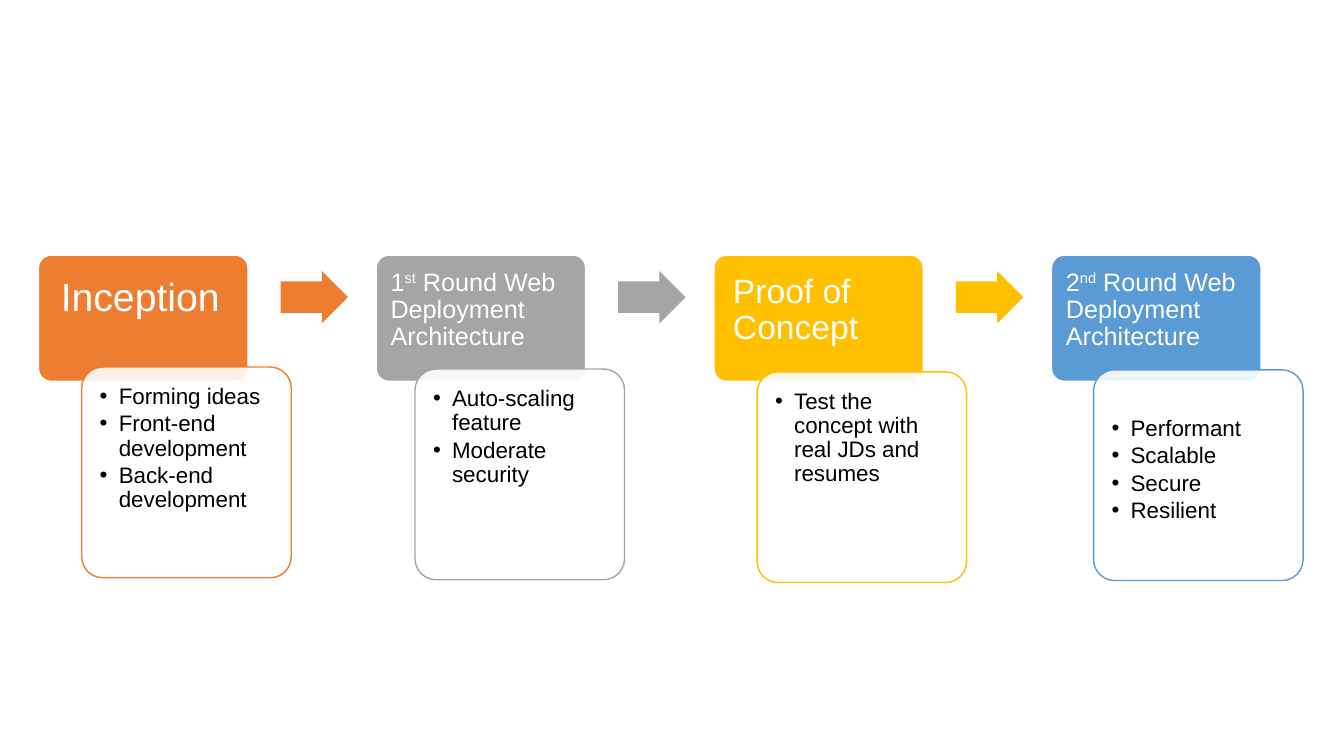
"""Build a slide showing four project phases joined by arrows."""
from lxml import etree
from pptx import Presentation
from pptx.dml.color import RGBColor
from pptx.enum.shapes import MSO_SHAPE
from pptx.enum.text import MSO_ANCHOR, PP_ALIGN
from pptx.oxml.ns import qn
from pptx.util import Cm, Pt

ROUNDED = MSO_SHAPE.ROUNDED_RECTANGLE
RIGHT_ARROW = MSO_SHAPE.RIGHT_ARROW
TOP = MSO_ANCHOR.TOP
LEFT = PP_ALIGN.LEFT

COLOURS = {
    "white": "FFFFFF",
    "black": "000000",
    "orange": "ED7D31",
    "grey": "A5A5A5",
    "gold": "FFC000",
    "blue": "5B9BD5",
}

FIRST_LEFT, PHASE_PITCH = 0.97, 8.51
CARD_WIDTH = 5.28
BULLET_INDENT = 0.48

PHASES = [
    {"colour": "orange", "title": ["Inception"], "size": 28,
     "details_at": (2.06, 9.25), "inset_top": 0.3,
     "details": ["Forming ideas", "Front-end development", "Back-end development"]},
    {"colour": "grey", "title": ["1", "st", " Round Web Deployment Architecture"], "size": 18,
     "details_at": (10.46, 9.3), "inset_top": 0.3,
     "details": ["Auto-scaling feature", "Moderate security"]},
    {"colour": "gold", "title": ["Proof of Concept"], "size": 24,
     "details_at": (19.08, 9.37), "inset_top": 0.3,
     "details": ["Test the concept with real JDs and resumes"]},
    {"colour": "blue", "title": ["2", "nd", " Round Web Deployment Architecture"], "size": 18,
     "details_at": (27.56, 9.32), "inset_top": 1.03,
     "details": ["Performant", "Scalable", "Secure", "Resilient"]},
]


def apply(target, values):
    """Set each named attribute on the target."""
    for name, value in values.items():
        setattr(target, name, value)


class PhaseSlide:
    """Hold the style and the current slide."""

    font = "Arial"

    def __init__(self, deck):
        """Add a blank slide to the deck."""
        self.slide = deck.slides.add_slide(deck.slide_layouts[6])

    def block(self, preset, place, adjustments, fill, line=None):
        """Add a filled preset shape."""
        block = self.slide.shapes.add_shape(preset, *map(Cm, place))
        block.shadow.inherit = False
        for index, value in enumerate(adjustments):
            block.adjustments[index] = value
        block.fill.solid()
        block.fill.fore_color.rgb = RGBColor.from_string(COLOURS[fill])
        if line:
            block.line.color.rgb = RGBColor.from_string(COLOURS[line])
            block.line.width = Pt(1)
        else:
            block.line.fill.background()
        return block

    def frame(self, block, side, top, bottom):
        """Prepare the text frame of a block."""
        apply(block.text_frame, {
            "word_wrap": True, "vertical_anchor": TOP,
            "margin_left": Cm(side), "margin_right": Cm(side),
            "margin_top": Cm(top), "margin_bottom": Cm(bottom),
        })
        return block.text_frame

    def wording(self, paragraph, words, size, colour):
        """Add a formatted run to a paragraph."""
        run = paragraph.add_run()
        run.text = words
        apply(run.font, {"name": self.font, "size": Pt(size)})
        run.font.color.rgb = RGBColor.from_string(COLOURS[colour])
        return run

    def heading(self, left, phase):
        """Add the coloured card, with every second title piece raised."""
        size = phase["size"]
        card = self.block(ROUNDED, (left, 6.43, CARD_WIDTH, 3.18), [0.1],
                          phase["colour"], "white")
        inset = 0.02 * size - 0.09
        title = self.frame(card, inset, inset, 0.2).paragraphs[0]
        apply(title, {"alignment": LEFT, "line_spacing": 0.9})
        for index, piece in enumerate(phase["title"]):
            run = self.wording(title, piece, size, "white")
            if index % 2:
                run._r.get_or_add_rPr().set("baseline", "30000")

    def details(self, phase):
        """Add the translucent card with the bulleted details."""
        card = self.block(ROUNDED, (*phase["details_at"], CARD_WIDTH, 5.31), [0.1],
                          "white", phase["colour"])
        tint = card._element.spPr.find(qn("a:solidFill"))[0]
        etree.SubElement(tint, qn("a:alpha"), val="90000")
        frame = self.frame(card, 0.3, phase["inset_top"], 0.3)
        for index, detail in enumerate(phase["details"]):
            item = frame.add_paragraph() if index else frame.paragraphs[0]
            apply(item, {"alignment": LEFT, "line_spacing": 0.9, "space_after": Pt(2.4)})
            properties = item._p.get_or_add_pPr()
            properties.set("marL", str(Cm(BULLET_INDENT)))
            properties.set("indent", str(-Cm(BULLET_INDENT)))
            etree.SubElement(properties, qn("a:buFont"), typeface=self.font)
            etree.SubElement(properties, qn("a:buChar"), char="•")
            self.wording(item, detail, 16, "black")

    def arrow(self, left, colour):
        """Add the arrow that leads to the next phase."""
        self.block(RIGHT_ARROW, (left, 6.83, 1.7, 1.32), [0.6, 0.5], colour)


def main():
    """Build and save the slide."""
    deck = Presentation()
    deck.slide_width, deck.slide_height = Cm(33.87), Cm(19.05)
    roadmap = PhaseSlide(deck)
    for index, phase in enumerate(PHASES):
        left = FIRST_LEFT + index * PHASE_PITCH
        roadmap.heading(left, phase)
        roadmap.details(phase)
        if index < len(PHASES) - 1:
            roadmap.arrow(left + 6.1, phase["colour"])
    deck.save("out.pptx")


if __name__ == "__main__":
    main()
